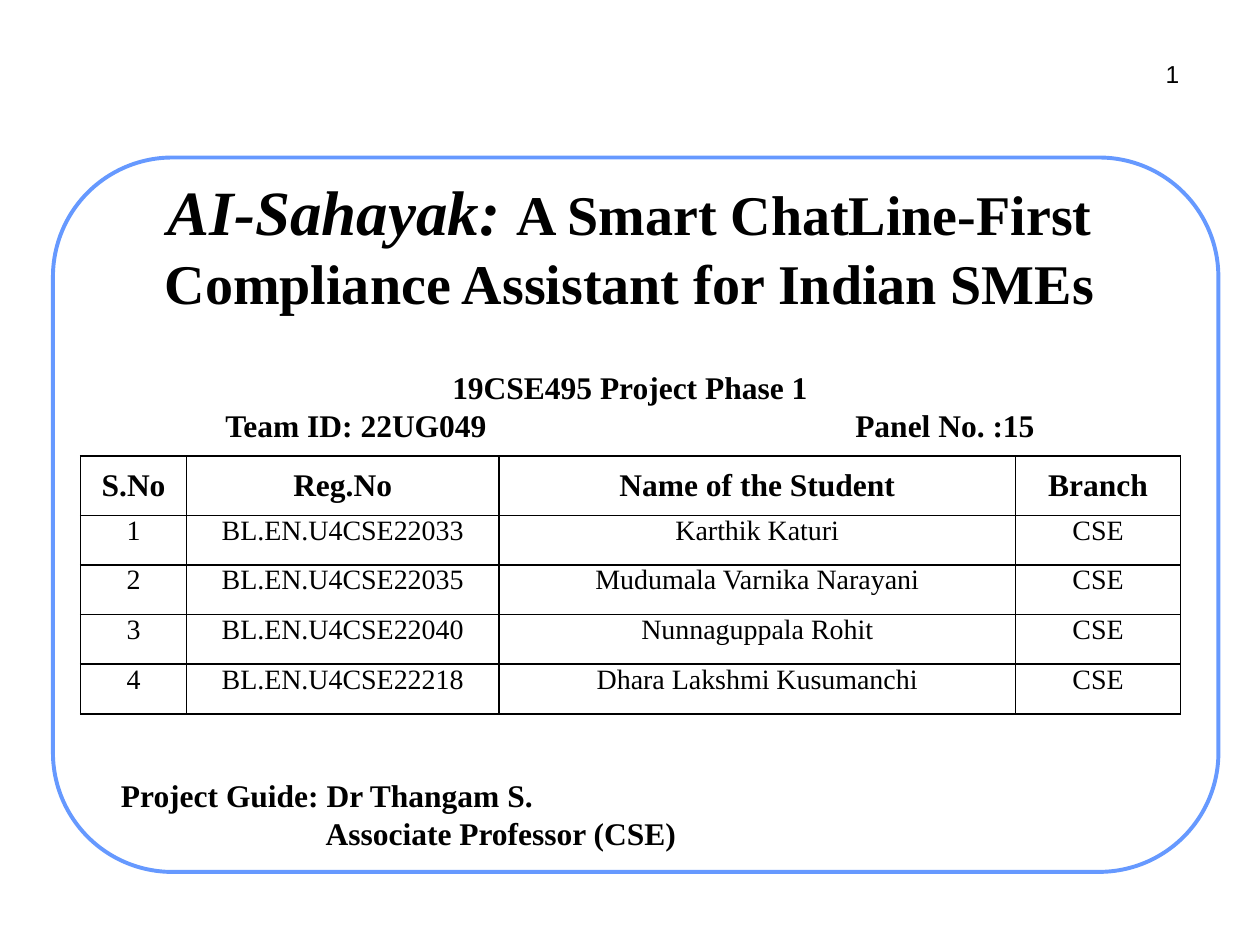
from dataclasses import dataclass

from lxml.etree import SubElement
from pptx import Presentation
from pptx.dml.color import RGBColor
from pptx.enum.shapes import MSO_SHAPE
from pptx.enum.text import MSO_ANCHOR, MSO_AUTO_SIZE, PP_ALIGN
from pptx.oxml.ns import qn
from pptx.util import Inches, Pt

WIDTH, HEIGHT = Inches(10), Inches(7.5)
COLUMN_SHARES = (8.4, 24.8, 41, 13.1)
ROW_SHARES = (6.27, 5.25, 5.25, 5.25, 5.25)
HEADERS = ("S.No", "Reg.No", "Name of the Student", "Branch")
STUDENTS = (
    ("BL.EN.U4CSE22033", "Karthik Katuri"),
    ("BL.EN.U4CSE22035", "Mudumala Varnika Narayani"),
    ("BL.EN.U4CSE22040", "Nunnaguppala Rohit"),
    ("BL.EN.U4CSE22218", "Dhara Lakshmi Kusumanchi"),
)


def color(hex_string):
    return RGBColor.from_string(hex_string)


def across(percent):
    return round(WIDTH * percent / 100)


def down(percent):
    return round(HEIGHT * percent / 100)


def area(left, top, width, height):
    return across(left), down(top), across(width), down(height)


@dataclass
class SlideBuilder:
    """Builds slide elements in one style, placed by percentages of the slide."""

    page: object
    ink: str = "000000"
    paper: str = "FFFFFF"
    accent: str = "6699FF"
    serif: str = "Times New Roman"
    sans: str = "Arial"

    def add_span(self, para, text, size, bold=True, italic=False, face=None):
        span = para.add_run()
        span.text = text
        font = span.font
        font.name = face or self.serif
        font.size = Pt(size)
        font.bold, font.italic = bold, italic
        font.color.rgb = color(self.ink)

    def prepare(self, frame, anchor=MSO_ANCHOR.TOP, wrap=True):
        frame.auto_size = MSO_AUTO_SIZE.NONE
        frame.word_wrap = wrap
        frame.vertical_anchor = anchor
        frame.margin_left = frame.margin_right = Inches(0.05)
        frame.margin_top = frame.margin_bottom = Inches(0.05)
        return frame

    def panel(self, place, rounding):
        box = self.page.shapes.add_shape(MSO_SHAPE.ROUNDED_RECTANGLE, *area(*place))
        box.adjustments[0] = rounding
        box.shadow.inherit = False
        box.fill.solid()
        box.fill.fore_color.rgb = color(self.paper)
        box.line.color.rgb = color(self.accent)
        box.line.width = Pt(2.25)
        self.page.shapes.element.insert(2, box.element)

    def title(self, place, lines, gap, tab):
        box = self.page.shapes.title
        box.left, box.top, box.width, box.height = area(*place)
        frame = self.prepare(box.text_frame, MSO_ANCHOR.MIDDLE)
        for index, spans in enumerate(lines):
            para = frame.add_paragraph() if index else frame.paragraphs[0]
            para.alignment = PP_ALIGN.CENTER
            para.space_before = Pt(gap if index == 1 else 0)
            if "\t" in spans[0][0]:
                stops = SubElement(para._p.get_or_add_pPr(), qn("a:tabLst"))
                SubElement(stops, qn("a:tab"), pos=str(across(tab)), algn="l")
            for span in spans:
                self.add_span(para, *span)

    def text(self, place, lines, size, bold=True, face=None,
             align=PP_ALIGN.LEFT, wrap=True, indent=0):
        box = self.page.shapes.add_textbox(*area(*place))
        frame = self.prepare(box.text_frame, wrap=wrap)
        for index, line in enumerate(lines):
            para = frame.add_paragraph() if index else frame.paragraphs[0]
            para.alignment = align
            if index and indent:
                para._p.get_or_add_pPr().set("marL", str(across(indent)))
            self.add_span(para, line, size, bold, face=face)

    def border(self, cell):
        properties = cell._tc.get_or_add_tcPr()
        for position, side in enumerate(("lnL", "lnR", "lnT", "lnB")):
            line = SubElement(properties, qn(f"a:{side}"), w=str(Pt(1)))
            fill = SubElement(line, qn("a:solidFill"))
            SubElement(fill, qn("a:srgbClr"), val=self.ink)
            properties.insert(position, line)

    def table(self, left, top, columns, rows, records):
        place = area(left, top, sum(columns), sum(rows))
        grid = self.page.shapes.add_table(len(rows), len(columns), *place).table
        grid.horz_banding = False
        for column, share in zip(grid.columns, columns):
            column.width = across(share)
        for index, (row, share, record) in enumerate(zip(grid.rows, rows, records)):
            row.height = down(share)
            heading = index == 0
            for cell, value in zip(row.cells, record):
                cell.margin_left = cell.margin_right = 0
                cell.margin_top = cell.margin_bottom = 0
                cell.vertical_anchor = MSO_ANCHOR.MIDDLE if heading else MSO_ANCHOR.TOP
                cell.fill.background()
                self.border(cell)
                para = cell.text_frame.paragraphs[0]
                para.alignment = PP_ALIGN.CENTER
                self.add_span(para, value, 18 if heading else 16, heading)


def main():
    deck = Presentation()
    deck.slide_width, deck.slide_height = WIDTH, HEIGHT
    builder = SlideBuilder(deck.slides.add_slide(deck.slide_layouts[5]))
    builder.panel((4.2, 16.67, 92.5, 75.6), 0.167)
    builder.text((91.9, 5.6, 2.2, 4.27), ["1"], 14, bold=False,
                 face=builder.sans, align=PP_ALIGN.RIGHT, wrap=False)
    builder.title((7.9, 19.07, 84.2, 27.07), [
        [("AI-Sahayak: ", 36, True, True),
         ("A Smart ChatLine-First Compliance Assistant for Indian SMEs", 32)],
        [("19CSE495 Project Phase 1", 18)],
        [("Team ID: 22UG049\tPanel No. :15", 18)],
    ], gap=30, tab=50)
    records = [HEADERS] + [
        (str(number), register, name, "CSE")
        for number, (register, name) in enumerate(STUDENTS, 1)
    ]
    builder.table(6.4, 48.27, COLUMN_SHARES, ROW_SHARES, records)
    builder.text((9.1, 81.47, 52.7, 9.47),
                 ["Project Guide: Dr Thangam S.", "Associate Professor (CSE)"],
                 18, indent=16.25)
    deck.save("out.pptx")


if __name__ == "__main__":
    main()
